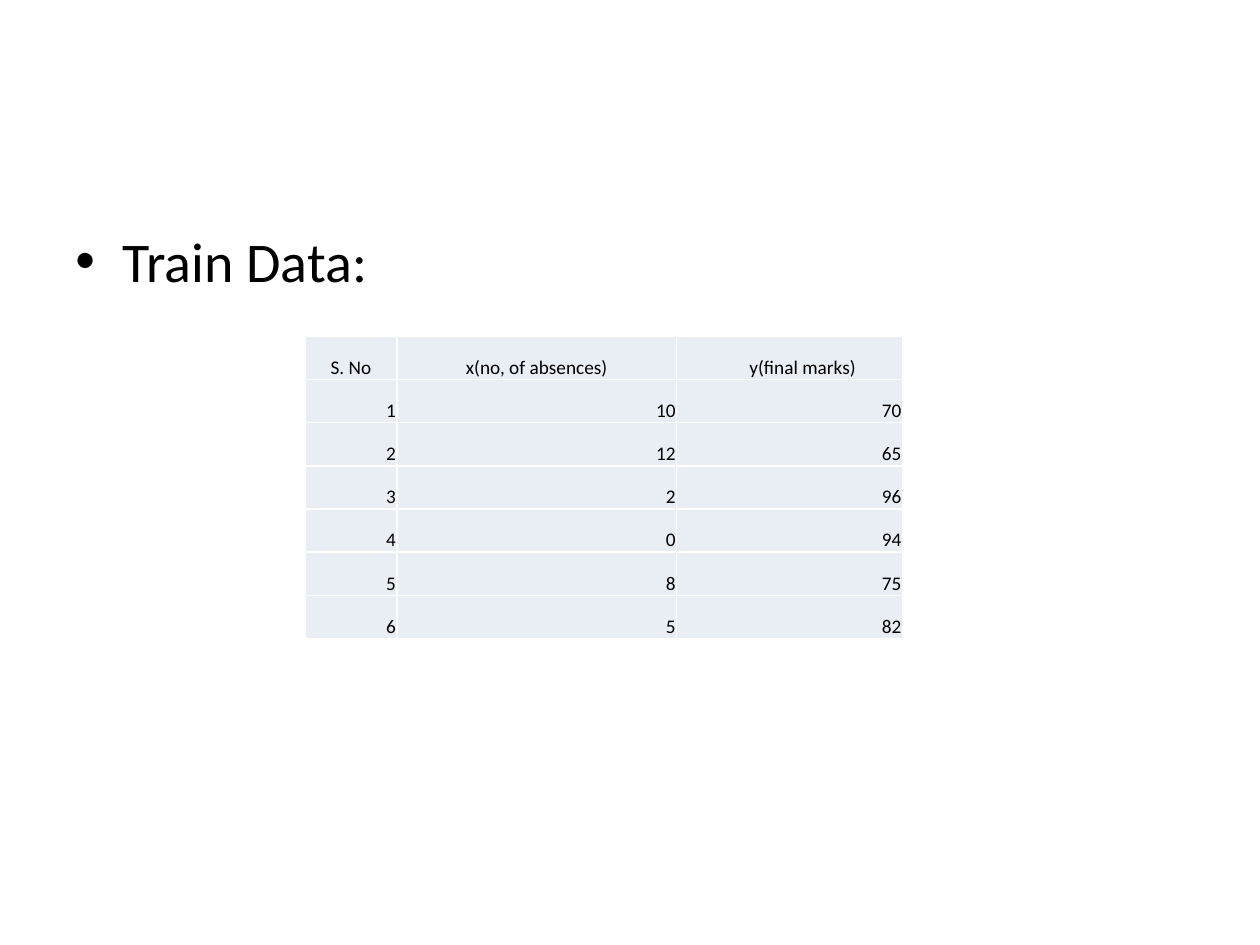
import dataclasses

import lxml.etree
import pptx
import pptx.dml.color
import pptx.enum.text
import pptx.oxml.ns
import pptx.util

Cm = pptx.util.Cm
ALIGN = pptx.enum.text.PP_ALIGN
BLACK, WHITE, PALE_BLUE = "000000", "FFFFFF", "E9EDF4"
ROW_HEIGHT = 0.87


@dataclasses.dataclass(frozen=True)
class Column:
    """Describe one column of the training data."""
    heading: str
    width: float
    values: tuple[int, ...]
    heading_inset: float = 0.02


COLUMNS = (
    Column("S. No", 1.85, (1, 2, 3, 4, 5, 6)),
    Column("x(no, of absences)", 5.64, (10, 12, 2, 0, 8, 5)),
    Column("y(final marks)", 4.55, (70, 65, 96, 94, 75, 82), heading_inset=0.55),
)


def color(value: str) -> pptx.dml.color.RGBColor:
    """Turn a hex string into a colour."""
    return pptx.dml.color.RGBColor.from_string(value)


def add_child(parent, tag: str, **attributes: str):
    """Append a DrawingML element and return it."""
    return lxml.etree.SubElement(parent, pptx.oxml.ns.qn(tag), attributes)


def write_text(frame, text: str, *, size: float, align=ALIGN.LEFT, font: str = "Calibri"):
    """Write one formatted paragraph into a text frame and return it."""
    paragraph = frame.paragraphs[0]
    paragraph.alignment = align
    run = paragraph.add_run()
    run.text = text
    run.font.size = pptx.util.Pt(size)
    run.font.name = font
    run.font.color.rgb = color(BLACK)
    return paragraph


def add_bullet(paragraph, indent: float) -> None:
    """Give a paragraph a hanging bullet and proportional space before."""
    properties = paragraph._p.get_or_add_pPr()
    properties.set("marL", str(Cm(indent)))
    properties.set("indent", str(-Cm(indent)))
    add_child(add_child(properties, "a:spcBef"), "a:spcPct", val="20000")
    add_child(properties, "a:buFont", typeface="Arial")
    add_child(properties, "a:buChar", char="•")


def format_cell(cell, left_inset: float) -> None:
    """Set the borders, fill, margins and anchor of a cell."""
    properties = cell._tc.get_or_add_tcPr()
    for side in ("a:lnL", "a:lnR", "a:lnT", "a:lnB"):
        line = add_child(properties, side, w=str(pptx.util.Pt(1)))
        add_child(add_child(line, "a:solidFill"), "a:srgbClr", val=WHITE)
    cell.fill.solid()
    cell.fill.fore_color.rgb = color(PALE_BLUE)
    cell.margin_left = Cm(left_inset)
    cell.margin_right = cell.margin_top = Cm(0.02)
    cell.margin_bottom = Cm(0)
    cell.vertical_anchor = pptx.enum.text.MSO_ANCHOR.BOTTOM


def add_data_table(slide, columns: tuple[Column, ...], left: float, top: float) -> None:
    """Draw the training data with centred headings and right-aligned values."""
    row_count = len(columns[0].values) + 1
    width = sum(column.width for column in columns)
    table = slide.shapes.add_table(
        row_count, len(columns), Cm(left), Cm(top), Cm(width), Cm(row_count * ROW_HEIGHT)
    ).table
    for row in table.rows:
        row.height = Cm(ROW_HEIGHT)
    for column_index, column in enumerate(columns):
        table.columns[column_index].width = Cm(column.width)
        for row_index, content in enumerate((column.heading, *column.values)):
            is_heading = row_index == 0
            cell = table.cell(row_index, column_index)
            format_cell(cell, column.heading_inset if is_heading else 0.02)
            write_text(cell.text_frame, str(content), size=11,
                       align=ALIGN.CENTER if is_heading else ALIGN.RIGHT)


def main() -> None:
    """Build and save the slide."""
    presentation = pptx.Presentation()
    presentation.slide_width, presentation.slide_height = Cm(25.4), Cm(19.05)
    slide = presentation.slides.add_slide(presentation.slide_layouts[6])
    body = slide.shapes.add_textbox(Cm(1.27), Cm(4.45), Cm(22.86), Cm(12.57))
    body.text_frame.word_wrap = True
    add_bullet(write_text(body.text_frame, "Train Data:", size=32), indent=0.95)
    add_data_table(slide, COLUMNS, left=6.15, top=6.78)
    presentation.save("out.pptx")


main()
